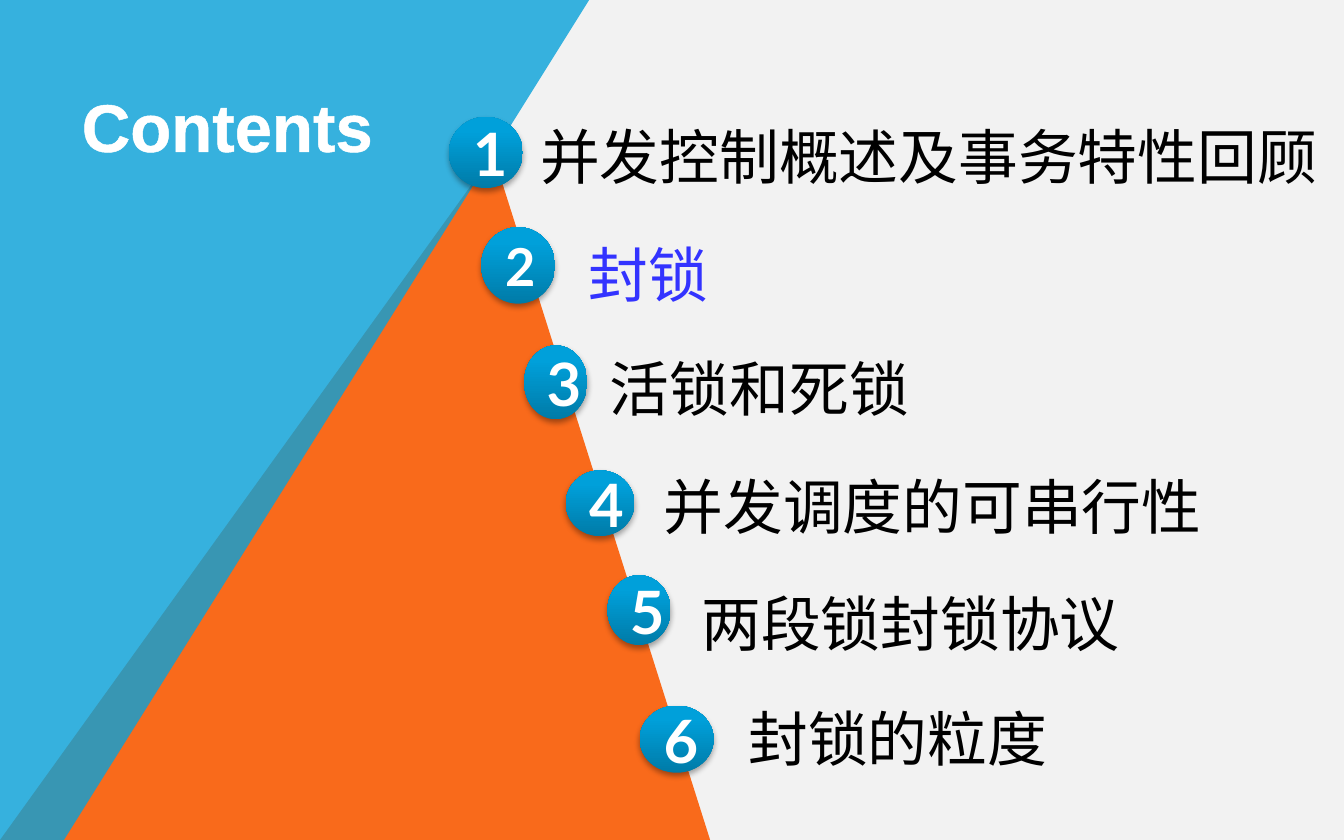
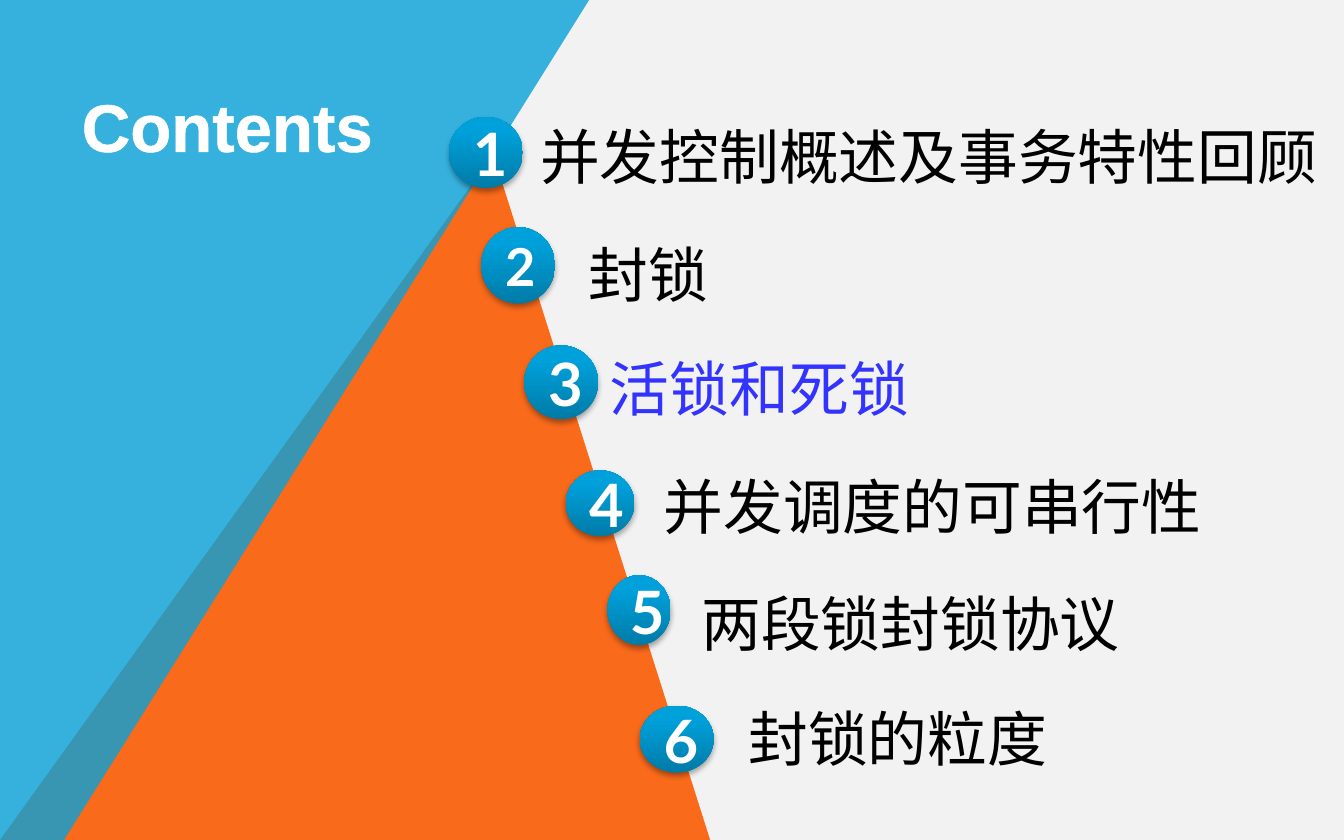
from lxml import etree
from pptx import Presentation
from pptx.dml.color import RGBColor
from pptx.enum.shapes import MSO_SHAPE as Shape
from pptx.enum.text import MSO_ANCHOR as Anchor, MSO_AUTO_SIZE as AutoSize, PP_ALIGN as Align
from pptx.oxml import parse_xml
from pptx.util import Inches, Pt

ORANGE, BLUE, PALE = "F96A1B", "08A1D9", "F2F2F2"
WHITE, BLACK, HIGHLIGHT = "FFFFFF", "000000", "3333FF"
NS = 'xmlns:a="http://schemas.openxmlformats.org/drawingml/2006/main"'

BADGE_FILL = f"""<a:gradFill {NS} rotWithShape="1"><a:gsLst>
<a:gs pos="0"><a:srgbClr val="007BA8"/></a:gs>
<a:gs pos="80000"><a:srgbClr val="00A0DA"/></a:gs>
<a:gs pos="100000"><a:srgbClr val="00A0DB"/></a:gs>
</a:gsLst><a:lin ang="16200000" scaled="0"/></a:gradFill>"""
BADGE_SHADOW = f"""<a:effectLst {NS}>
<a:outerShdw blurRad="40000" dist="23000" dir="5400000" rotWithShape="0">
<a:srgbClr val="000000"><a:alpha val="35000"/></a:srgbClr></a:outerShdw></a:effectLst>"""
TITLE_OUTLINE = f"""<a:ln {NS} w="18415"><a:solidFill><a:srgbClr val="{WHITE}"/></a:solidFill></a:ln>"""

# Background panels: colour, opacity in percent, corners
PANELS = [
    (ORANGE, 100, [(0, 6.25), (3.67, 1.15), (5.29, 6.27)]),
    (BLUE, 80, [(-0.01, 6.29), (0, -0.01), (4.39, -0.01), (0.47, 6.26)]),
]

# Topics: badge box, digit size, label, label box
TOPICS = [
    ((3.34, 0.87, 0.55, 0.53), 32, "并发控制概述及事务特性回顾", (3.92, 0.68, 6.08, 0.8)),
    ((3.58, 1.69, 0.55, 0.57), 28, "封锁", (4.28, 1.56, 1.1, 0.7)),
    ((3.9, 2.57, 0.47, 0.55), 32, "活锁和死锁", (4.44, 2.41, 2.45, 0.8)),
    ((4.21, 3.5, 0.51, 0.49), 32, "并发调度的可串行性", (4.84, 3.29, 4.24, 0.8)),
    ((4.52, 4.28, 0.47, 0.52), 32, "两段锁封锁协议", (5.12, 4.16, 3.34, 0.7)),
    ((4.76, 5.25, 0.55, 0.5), 32, "封锁的粒度", (5.47, 5.01, 2.45, 0.7)),
]
CURRENT_TOPICS = [2, 3]
CURRENT_BADGE_WIDTH = 0.55


def set_color(fill, color, opacity=100):
    fill.solid()
    fill.fore_color.rgb = RGBColor.from_string(color)
    if opacity < 100:
        srgb = fill._xPr.find(".//{*}srgbClr")
        etree.SubElement(srgb, srgb.tag.replace("srgbClr", "alpha"), val=str(opacity * 1000))


def write_text(shape, text, color, align, **font_values):
    paragraph = shape.text_frame.paragraphs[0]
    paragraph.alignment = align
    run = paragraph.add_run()
    run.text = text
    for name, value in font_values.items():
        setattr(run.font, name, value)
    set_color(run.font.fill, color)
    return paragraph


presentation = Presentation()
presentation.slide_width, presentation.slide_height = Inches(10), Inches(6.25)

for current in CURRENT_TOPICS:
    slide = presentation.slides.add_slide(presentation.slide_layouts[6])
    set_color(slide.background.fill, PALE)
    shapes = slide.shapes

    # Background panels
    for color, opacity, corners in PANELS:
        points = [(Inches(x), Inches(y)) for x, y in corners]
        builder = shapes.build_freeform(*points[0])
        builder.add_line_segments(points[1:], close=True)
        panel = builder.convert_to_shape()
        set_color(panel.fill, color, opacity)
        panel.line.fill.background()
        panel.shadow.inherit = False

    # Title
    title = shapes.add_textbox(*map(Inches, (0.51, 0.53, 2.68, 0.59)))
    title.text_frame.word_wrap = True
    title.text_frame.margin_top = Inches(0.1)
    paragraph = write_text(title, "Contents", WHITE, Align.LEFT,
                           name="Arial", size=Pt(36), bold=True)
    paragraph.runs[0].font._element.insert(0, parse_xml(TITLE_OUTLINE))

    # Numbered badges with their topics
    for number, (badge_box, digit_size, label, label_box) in enumerate(TOPICS, 1):
        badge = shapes.add_shape(Shape.OVAL, *map(Inches, badge_box))
        badge.line.fill.background()
        properties = badge._element.spPr
        properties.insert(2, parse_xml(BADGE_FILL))
        properties.append(parse_xml(BADGE_SHADOW))
        badge.text_frame.vertical_anchor = Anchor.MIDDLE
        write_text(badge, str(number), WHITE, Align.CENTER,
                   name="Lato", size=Pt(digit_size), bold=True)

        topic = shapes.add_textbox(*map(Inches, label_box))
        topic.text_frame.word_wrap = number == 1
        topic.text_frame.auto_size = AutoSize.SHAPE_TO_FIT_TEXT
        paragraph = write_text(topic, label, HIGHLIGHT if number == current else BLACK,
                               Align.JUSTIFY, name="Arial", size=Pt(32))
        paragraph.line_spacing = 1.3

        if number == current:
            badge.width = Inches(CURRENT_BADGE_WIDTH)
            topic.height = Inches(0.7)

presentation.save("out.pptx")
